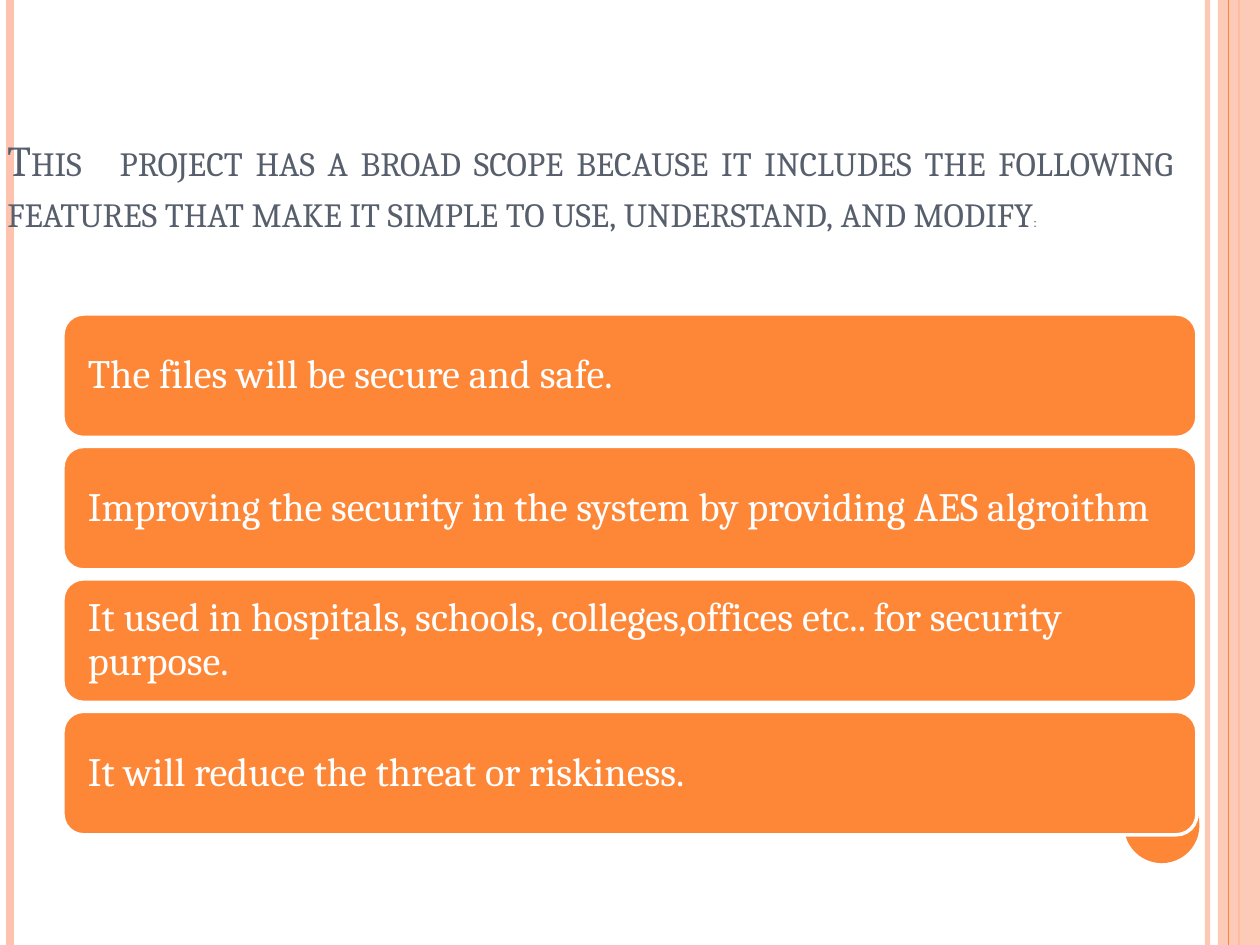
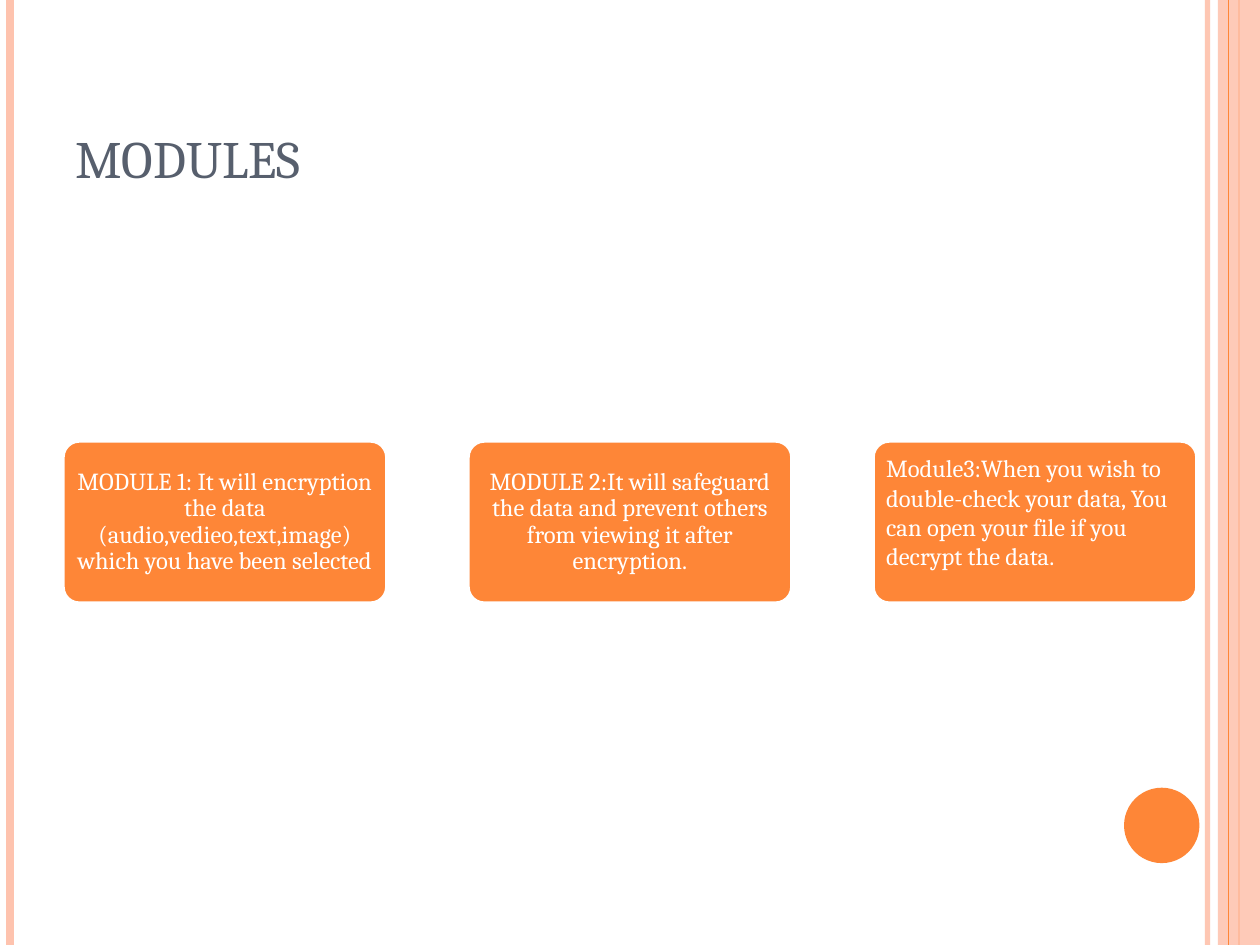
from lxml import etree
from pptx import Presentation
from pptx.dml.color import RGBColor
from pptx.enum import shapes, text
from pptx.oxml.ns import qn
from pptx.util import Cm, Pt

ORANGE = RGBColor(0xFE, 0x86, 0x37)
PEACH = RGBColor(0xFE, 0xC3, 0xAE)
SLATE = RGBColor(0x57, 0x5F, 0x6D)
WHITE = RGBColor(0xFF, 0xFF, 0xFF)
FONT = "Cambria"
WIDTH, HEIGHT = 25.4, 19.05
MARGIN = 1.27
CONTENT_W = WIDTH - 2 * MARGIN

LEFT, CENTER, JUSTIFY = text.PP_ALIGN.LEFT, text.PP_ALIGN.CENTER, text.PP_ALIGN.JUSTIFY
TOP, MIDDLE, BOTTOM = text.MSO_ANCHOR.TOP, text.MSO_ANCHOR.MIDDLE, text.MSO_ANCHOR.BOTTOM

SCOPE_TITLE = [
    ("This   project has a broad scope because it includes the following features "
     "that make it simple to use, understand, and modify", 24.3),
    (":", 9.9),
]
FEATURES = [
    "The files will be secure and safe.",
    "Improving the security in the system by providing AES algroithm",
    "It used in hospitals, schools, colleges,offices etc.. for security purpose.",
    "It will reduce the threat or riskiness.",
]
MODULES_TITLE = [("MODULES", 30)]
CENTERED = dict(align=CENTER, anchor=MIDDLE, spacing=0.9)
MODULES = [
    ("MODULE 1: It will encryption the data (audio,vedieo,text,image) "
     "which you have been selected", CENTERED),
    ("MODULE 2:It will safeguard the data and prevent others from viewing it "
     "after encryption.", CENTERED),
    ("Module3:When you wish to double-check your data, You can open your file "
     "if you decrypt the data.", dict(align=LEFT, anchor=TOP, spacing=1.0)),
]


def set_alpha(element, percent):
    color = next(element.iter(qn("a:srgbClr")))
    etree.SubElement(color, qn("a:alpha"), val=str(percent * 1000))


def write(sp, runs, color=WHITE, align=LEFT, anchor=MIDDLE, spacing=1.0,
          inset=(0.25, 0.13), small_caps=False):
    """Fill a shape with one paragraph made of (text, size) runs."""
    tf = sp.text_frame
    tf.word_wrap = True
    tf.vertical_anchor = anchor
    tf.margin_left = tf.margin_right = Cm(inset[0])
    tf.margin_top = tf.margin_bottom = Cm(inset[1])
    p = tf.paragraphs[0]
    p.alignment = align
    p.line_spacing = spacing
    for words, size in runs:
        r = p.add_run()
        r.text = words
        r.font.name = FONT
        r.font.size = Pt(size)
        r.font.color.rgb = color
        if small_caps:
            r.font._element.set("cap", "small")


def add_box(slide, kind, x, y, w, h, fill, line=None):
    sp = slide.shapes.add_shape(kind, Cm(x), Cm(y), Cm(w), Cm(h))
    sp.shadow.inherit = False
    sp.fill.solid()
    sp.fill.fore_color.rgb = fill
    if line is None:
        sp.line.fill.background()
    else:
        sp.line.color.rgb = line
        sp.line.width = Pt(2)
    return sp


def add_stripe(slide, x, color, width):
    """Draw a vertical line over the full slide height."""
    cx = slide.shapes.add_connector(
        shapes.MSO_CONNECTOR.STRAIGHT, Cm(x), 0, Cm(x), Cm(HEIGHT))
    cx.line.color.rgb = color
    cx.line.width = Pt(width)
    etree.SubElement(cx._element.spPr, qn("a:effectLst"))
    return cx


def add_slide(prs, title, x, y, w, h, align=LEFT):
    """Add a slide with the shared side bands, corner dot and title."""
    slide = prs.slides.add_slide(prs.slide_layouts[6])
    set_alpha(add_stripe(slide, 24.34, PEACH, 3)._element, 93)
    add_stripe(slide, 0.21, PEACH, 4.5)
    add_stripe(slide, 24.98, ORANGE, 1.5)
    band = add_box(slide, shapes.MSO_SHAPE.RECTANGLE, 24.55, 0, 0.85, HEIGHT, PEACH)
    set_alpha(band._element, 87)
    add_stripe(slide, 24.76, ORANGE, 0.75)
    add_box(slide, shapes.MSO_SHAPE.OVAL, 22.66, 15.88, 1.52, 1.52, ORANGE)
    sp = slide.shapes.add_textbox(Cm(x), Cm(y), Cm(w), Cm(h))
    write(sp, title, color=SLATE, align=align, anchor=BOTTOM, small_caps=True)
    return slide


def add_card(slide, x, y, w, h):
    return add_box(slide, shapes.MSO_SHAPE.ROUNDED_RECTANGLE, x, y, w, h, ORANGE, WHITE)


def build_scope(prs):
    slide = add_slide(prs, SCOPE_TITLE, -0.1, 0.64, 24, 4.24, align=JUSTIFY)
    top, card_h, gap = 6.33, 2.49, 0.18
    for i, feature in enumerate(FEATURES):
        card = add_card(slide, MARGIN, top + i * (card_h + gap), CONTENT_W, card_h)
        write(card, [(feature, 23)], spacing=0.9, inset=(0.38, 0.38))


def build_modules(prs):
    slide = add_slide(prs, MODULES_TITLE, MARGIN, 0.76, 20.75, 3.18)
    card_w, card_h = 6.53, 3.27
    step = (CONTENT_W - card_w) / (len(MODULES) - 1)
    for i, (module, layout) in enumerate(MODULES):
        card = add_card(slide, MARGIN + i * step, 8.89, card_w, card_h)
        card.adjustments[0] = 0.1
        write(card, [(module, 14)], inset=(0.17, 0.15), **layout)


def main():
    prs = Presentation()
    prs.slide_width, prs.slide_height = Cm(WIDTH), Cm(HEIGHT)
    build_scope(prs)
    build_modules(prs)
    prs.save("out.pptx")


if __name__ == "__main__":
    main()
